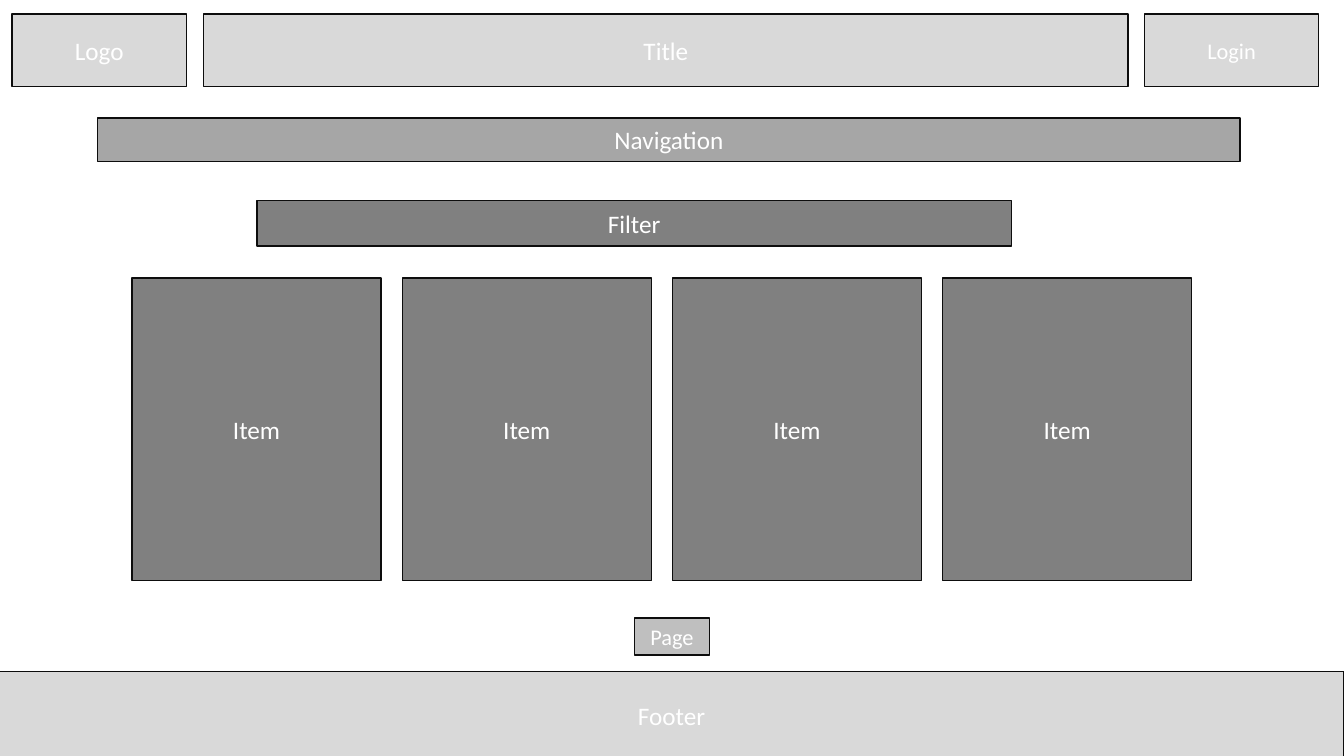
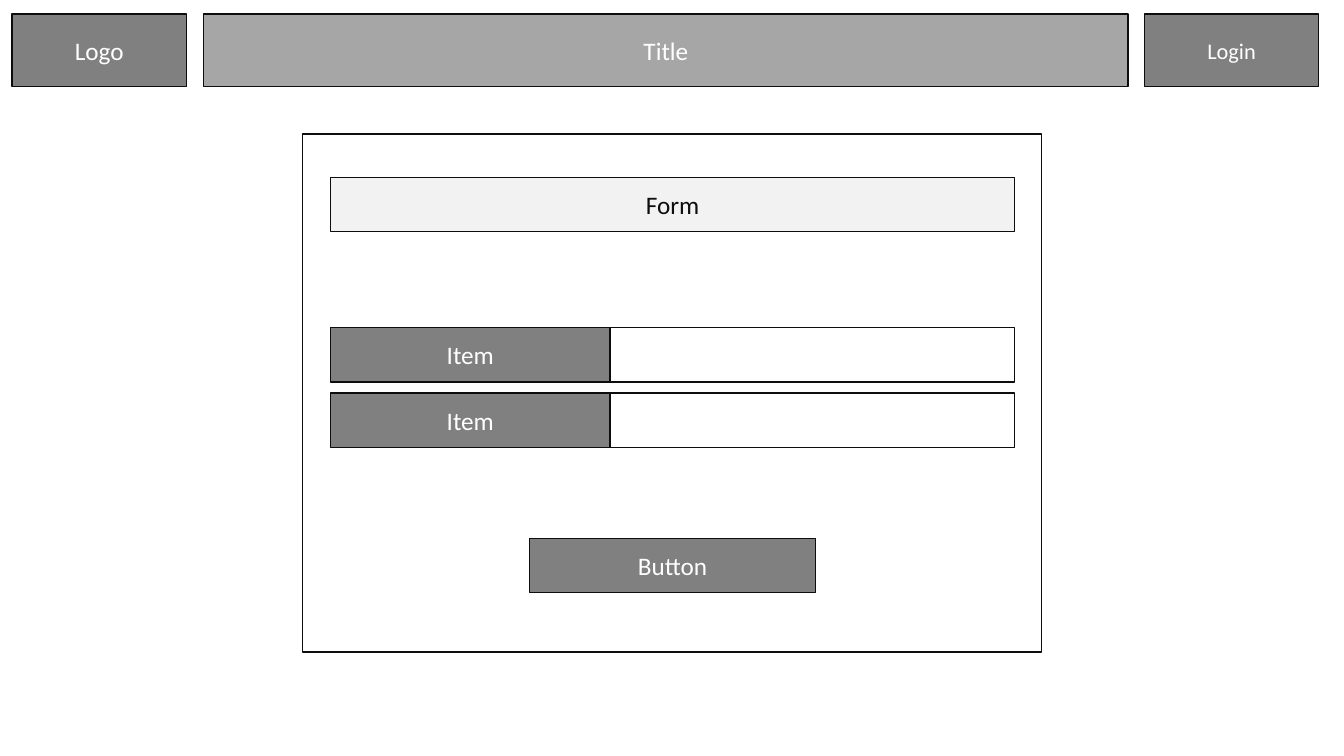
from pptx import Presentation
from pptx.dml.color import RGBColor
from pptx.enum.shapes import MSO_SHAPE as Preset
from pptx.enum.text import MSO_ANCHOR as Anchor, PP_ALIGN as Align
from pptx.util import Emu, Pt

EMU_PER_PX = 9144
SLIDE_WIDTH, SLIDE_HEIGHT = 1333, 750
FONT = "Calibri"
INK, WHITE = "0D0D0D", "FFFFFF"
DARK, MEDIUM, SILVER, LIGHT, PALE = "808080", "A6A6A6", "BFBFBF", "D9D9D9", "F2F2F2"


def px(length):
    return Emu(length * EMU_PER_PX)


def color(hex_value):
    return RGBColor.from_string(hex_value)


def apply_format(target, values):
    for name, value in values.items():
        setattr(target, name, value)


def add_box(slide, box, fill=None, text="", size=18, text_color=WHITE):
    shape = slide.shapes.add_shape(Preset.RECTANGLE, *map(px, box))
    shape.shadow.inherit = False
    if fill:
        shape.fill.solid()
        shape.fill.fore_color.rgb = color(fill)
    else:
        shape.fill.background()
    shape.line.color.rgb = color(INK)
    shape.line.width = Pt(1)
    if text:
        add_label(shape, text, size, text_color)


def add_label(shape, text, size, text_color):
    apply_format(shape.text_frame, {"word_wrap": True, "vertical_anchor": Anchor.MIDDLE})
    paragraph = shape.text_frame.paragraphs[0]
    paragraph.alignment = Align.CENTER
    run = paragraph.add_run()
    run.text = text
    apply_format(run.font, {"name": FONT, "size": Pt(size)})
    run.font.color.rgb = color(text_color)


def add_header(slide, side_fill, title_fill):
    top, height, side_width = 14, 72, 173
    add_box(slide, (12, top, side_width, height), side_fill, "Logo")
    add_box(slide, (202, top, 917, height), title_fill, "Title")
    add_box(slide, (1135, top, side_width, height), side_fill, "Login", size=16)


def add_item_cards(slide, left, top, count):
    width, height, pitch = 247, 300, 268
    for index in range(count):
        add_box(slide, (left + index * pitch, top, width, height), DARK, "Item")


def add_form_row(slide, left, top):
    label_width, field_width, height = 277, 401, 54
    add_box(slide, (left, top, label_width, height), DARK, "Item")
    add_box(slide, (left + label_width, top, field_width, height), WHITE)


def build_catalog(slide):
    add_header(slide, LIGHT, LIGHT)
    add_box(slide, (97, 117, 1133, 43), MEDIUM, "Navigation")
    add_box(slide, (255, 199, 748, 45), DARK, "Filter")
    add_item_cards(slide, left=131, top=276, count=4)
    add_box(slide, (629, 613, 75, 37), SILVER, "Page", size=16)
    add_box(slide, (-1, 666, 1334, 87), LIGHT, "Footer")


def build_form(slide):
    left = 328
    add_header(slide, DARK, MEDIUM)
    add_box(slide, (300, 133, 733, 514))
    add_box(slide, (left, 176, 678, 54), PALE, "Form", text_color=INK)
    for top in (325, 390):
        add_form_row(slide, left, top)
    add_box(slide, (525, 534, 284, 54), DARK, "Button")


def main():
    presentation = Presentation()
    apply_format(presentation, {"slide_width": px(SLIDE_WIDTH), "slide_height": px(SLIDE_HEIGHT)})
    blank_layout = presentation.slide_layouts[6]
    for build in (build_catalog, build_form):
        build(presentation.slides.add_slide(blank_layout))
    presentation.save("out.pptx")


if __name__ == "__main__":
    main()
